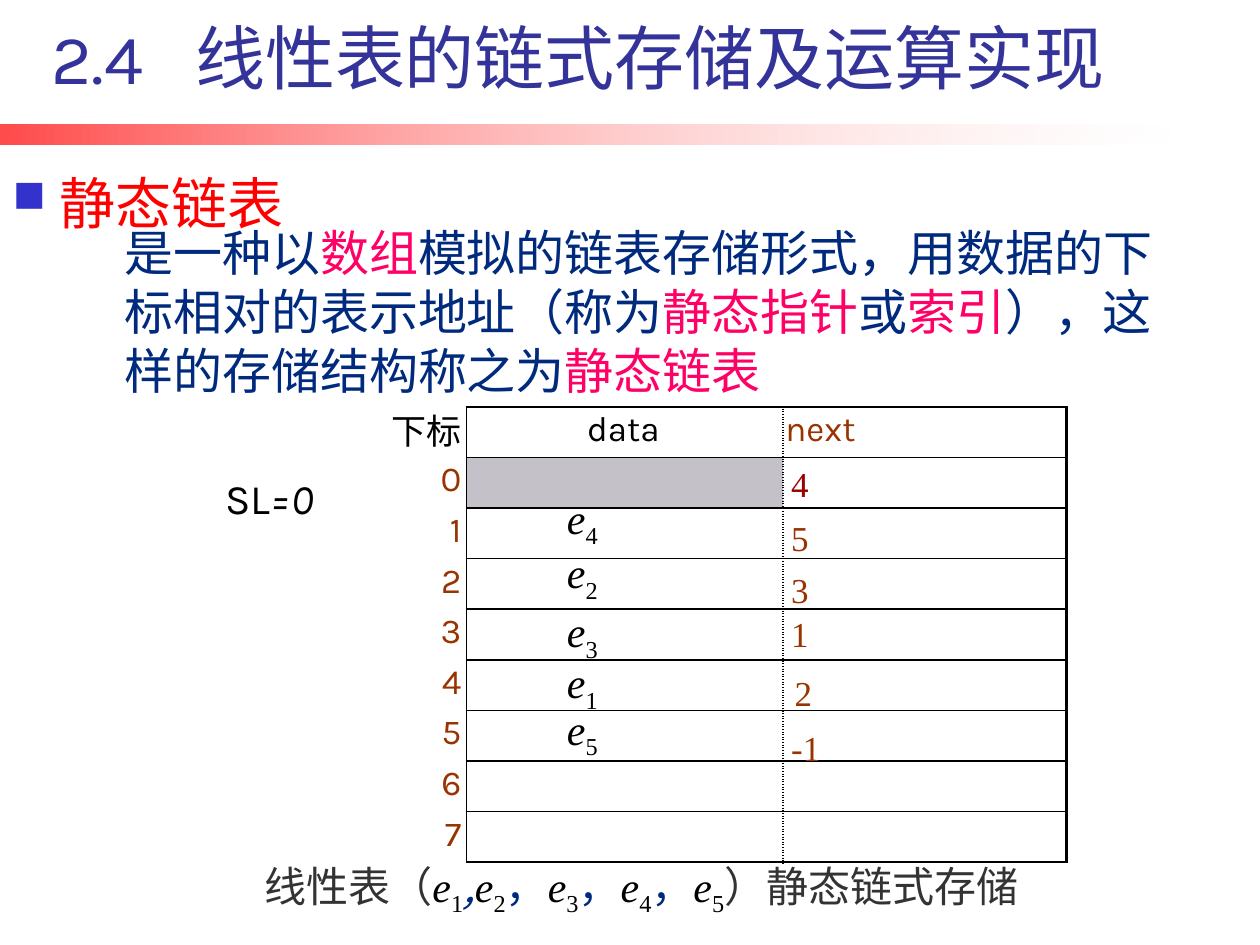
from lxml import etree
from pptx import Presentation
from pptx.dml.color import RGBColor
from pptx.enum.shapes import MSO_SHAPE
from pptx.enum.text import MSO_ANCHOR, MSO_AUTO_SIZE, PP_ALIGN
from pptx.oxml.ns import qn
from pptx.util import Cm, Pt

RECT = MSO_SHAPE.RECTANGLE
BOTTOM = MSO_ANCHOR.BOTTOM
NO_FIT = MSO_AUTO_SIZE.NONE
LEFT, CENTER, RIGHT = PP_ALIGN.LEFT, PP_ALIGN.CENTER, PP_ALIGN.RIGHT
KARLA, CJK, TIMES = "Karla", "Noto Sans CJK SC", "Times New Roman"
NO_STYLE = "{2D5ABB26-0587-4C30-8999-92F81FD0307C}"

COLORS = {
    "black": "000000", "white": "FFFFFF", "red": "FF0000", "indigo": "333399",
    "bullet": "3333CC", "navy": "002A7E", "pink": "FF0066", "brown": "993300",
    "maroon": "990000", "gray": "333333", "cell": "C4C2C8",
}

HEADING = "静态链表"
CHAPTER = ["2.4", " ", "线性表的链式存储及运算实现"]
DEFINITION = [
    ("是一种以", "navy"), ("数组", "pink"),
    ("模拟的链表存储形式，用数据的下标相对的表示地址（称为", "navy"),
    ("静态指针", "pink"), ("或", "navy"), ("索引", "pink"),
    ("），这样的存储结构称之为", "navy"), ("静态链表", "pink"),
]
HEADER = [("下标", RIGHT, "black"), ("data", CENTER, "black"), ("next", LEFT, "brown")]
SLOTS = 8
COL_WIDTHS = [4.29, 6.38, 5.72]
ROW_HEIGHT = 1.02
ELEMENTS = [("4", 9.8), ("2", 10.9), ("3", 12.09), ("1", 13.11), ("5", 14.05)]
POINTERS = [("4", 15.7, 9.19, "maroon"), ("5", 15.7, 10.29, "brown"),
            ("3", 15.7, 11.33, "brown"), ("1", 15.7, 12.22, "brown"),
            ("2", 15.77, 13.41, "brown"), ("-1", 15.7, 14.53, "brown")]
SEPARATORS = [",", "，", "，", "，"]


def rgb(name):
    return RGBColor.from_string(COLORS[name])


def add_run(p, text, size, font, color, italic=False, sub=False):
    r = p.add_run()
    r.text = text
    r.font.size, r.font.name, r.font.italic = Pt(size), font, italic
    r.font.color.rgb = rgb(color)
    rpr = r.font._element
    etree.SubElement(rpr, qn("a:ea")).set("typeface", CJK)
    if sub:
        rpr.set("baseline", "-25000")
    return r


def add_element(p, index):
    add_run(p, "e", 24, TIMES, "black", italic=True)
    add_run(p, index, 24, TIMES, "black", sub=True)


def add_box(s, left, top, width, height):
    tf = s.shapes.add_textbox(Cm(left), Cm(top), Cm(width), Cm(height)).text_frame
    tf.word_wrap = True
    return tf


def set_border(cell, side, width=1, dash="solid"):
    ln = etree.SubElement(cell._tc.get_or_add_tcPr(), qn("a:" + side), w=str(Pt(width)))
    fill = etree.SubElement(ln, qn("a:solidFill"))
    etree.SubElement(fill, qn("a:srgbClr"), val=COLORS["black"])
    etree.SubElement(ln, qn("a:prstDash"), val=dash)


def add_bar(s):
    sp = s.shapes.add_shape(RECT, Cm(0), Cm(2.51), Cm(23.6), Cm(0.41))
    sp.shadow.inherit = False
    sp.line.fill.background()
    sp.fill.gradient()
    sp.fill.gradient_angle = 0
    for stop, color, alpha in zip(sp.fill.gradient_stops, ("red", "white"), (71, 18)):
        stop.color.rgb = rgb(color)
    for clr, alpha in zip(sp._element.spPr.iter(qn("a:srgbClr")), (71, 18)):
        etree.SubElement(clr, qn("a:alpha"), val=str(alpha * 1000))


def add_heading(s):
    sp = s.shapes.title
    sp.left, sp.top, sp.width, sp.height = Cm(0), Cm(3.05), Cm(6.38), Cm(1.83)
    tf = sp.text_frame
    tf.word_wrap, tf.auto_size, tf.vertical_anchor = True, NO_FIT, BOTTOM
    p = tf.paragraphs[0]
    p.alignment, p.line_spacing = LEFT, 1.15
    ppr = p._p.get_or_add_pPr()
    ppr.set("marL", str(Cm(0.95)))
    ppr.set("indent", str(-Cm(0.95)))
    clr = etree.SubElement(ppr, qn("a:buClr"))
    etree.SubElement(clr, qn("a:srgbClr"), val=COLORS["bullet"])
    etree.SubElement(ppr, qn("a:buSzPct"), val="80000")
    etree.SubElement(ppr, qn("a:buChar"), char="■")
    add_run(p, HEADING, 32, CJK, "red")


def add_storage_table(s):
    rows = [HEADER] + [[(str(i), RIGHT, "brown"), ("", LEFT, "black"), ("", LEFT, "black")]
                       for i in range(SLOTS)]
    table = s.shapes.add_table(len(rows), len(COL_WIDTHS), Cm(5.11), Cm(8.2),
                               Cm(sum(COL_WIDTHS)), Cm(ROW_HEIGHT * len(rows))).table
    table.first_row = table.horz_banding = False
    table._tbl.tblPr.find(qn("a:tableStyleId")).text = NO_STYLE
    borders = [
        [("lnR", 1, "solid")],
        [("lnL", 1, "solid"), ("lnR", 1, "sysDot"), ("lnT", 1, "solid"), ("lnB", 1, "solid")],
        [("lnL", 1, "sysDot"), ("lnR", 2.25, "solid"), ("lnT", 1, "solid"), ("lnB", 1, "solid")],
    ]
    for col, width in zip(table.columns, COL_WIDTHS):
        col.width = Cm(width)
    for i, row in enumerate(rows):
        table.rows[i].height = Cm(ROW_HEIGHT)
        for j, (text, align, color) in enumerate(row):
            cell = table.cell(i, j)
            cell.margin_left = cell.margin_top = cell.margin_bottom = Cm(0.05)
            cell.margin_right = Cm(0.1)
            for border in borders[j]:
                set_border(cell, *border)
            if (i, j) == (1, 1):
                cell.fill.solid()
                cell.fill.fore_color.rgb = rgb("cell")
            else:
                cell.fill.background()
            p = cell.text_frame.paragraphs[0]
            p.alignment = align
            if text:
                add_run(p, text, 20, KARLA, color)
            if (i, j) == (0, 0):
                p.line_spacing = Pt(26)


def main():
    """Build the static linked list slide."""
    prs = Presentation()
    prs.slide_width, prs.slide_height = Cm(25.4), Cm(19.05)
    s = prs.slides.add_slide(prs.slide_layouts[5])
    add_bar(s)
    add_heading(s)

    tf = add_box(s, 0.03, 0.76, 23.24, 1.35)
    tf.vertical_anchor = BOTTOM
    p = tf.paragraphs[0]
    p.alignment = CENTER
    for text in CHAPTER:
        r = add_run(p, text, 40, KARLA, "indigo")
        if text == " ":
            r.font._element.set("spc", "2000")

    p = add_box(s, 2.26, 4.37, 21.59, 3.84).paragraphs[0]
    p.line_spacing = Pt(33.5)
    for text, color in DEFINITION:
        add_run(p, text, 28, CJK, color)

    add_storage_table(s)
    for index, top in ELEMENTS:
        add_element(add_box(s, 11.18, top, 1.5, 1.27).paragraphs[0], index)
    for value, left, top, color in POINTERS:
        p = add_box(s, left, top, 5.59, 1.1).paragraphs[0]
        for char in value:
            add_run(p, char, 20, TIMES, color, italic=char == "-")

    p = add_box(s, 4.29, 9.4, 2.79, 1.27).paragraphs[0]
    add_run(p, "SL", 24, KARLA, "black")
    add_run(p, "=0", 24, KARLA, "black", italic=True)

    p = add_box(s, 5.08, 17.35, 18.19, 1.27).paragraphs[0]
    p.line_spacing = Pt(29)
    add_run(p, "线性表（", 24, CJK, "gray")
    add_element(p, "1")
    for index, separator in enumerate(SEPARATORS, 2):
        add_run(p, separator, 24, CJK, "navy", italic=separator == ",")
        add_element(p, str(index))
    add_run(p, "）静态链式存储", 24, CJK, "gray")
    prs.save("out.pptx")


if __name__ == "__main__":
    main()
